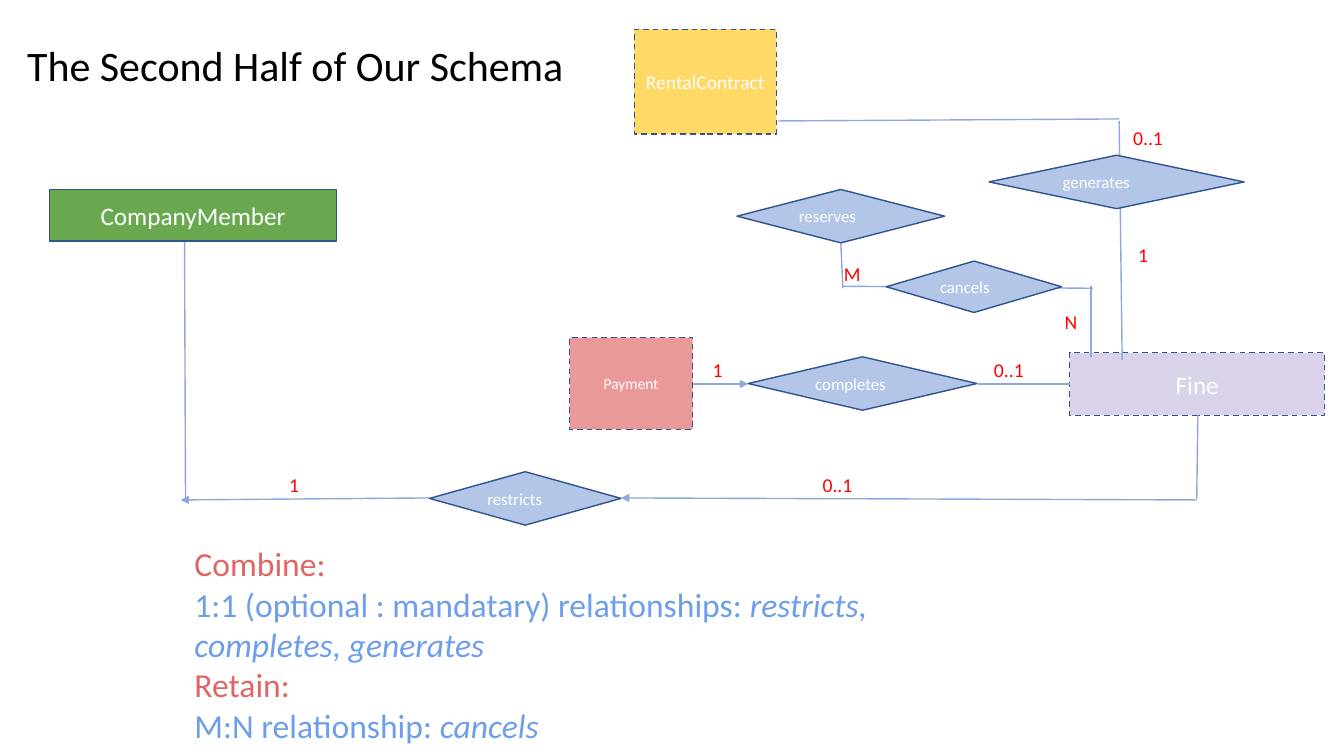
from dataclasses import dataclass

from lxml import etree
from pptx import Presentation
from pptx import util as u
from pptx.dml.color import RGBColor
from pptx.enum import dml, shapes, text
from pptx.oxml.ns import qn

PX = 9144  # 100 px to the inch


@dataclass(frozen=True)
class Theme:
    font: str = "Calibri"
    outline: str = "31538F"
    link: str = "8DA9DB"
    relationship: str = "B3C6E7"
    on_fill: str = "FFFFFF"
    cardinality: str = "FF0000"
    title: str = "000000"
    heading: str = "E06666"
    body: str = "6D9EEB"
    title_pt: int = 30
    body_pt: int = 24
    entity_pt: int = 18
    cardinality_pt: int = 14
    contract_pt: int = 14
    relationship_pt: int = 12
    payment_pt: int = 11


THEME = Theme()


@dataclass(frozen=True)
class Node:
    label: str
    box: tuple[int, int, int, int]
    fill: str = THEME.relationship
    size: int = THEME.relationship_pt
    dashed: bool = False
    entity: bool = False


@dataclass(frozen=True)
class Link:
    start: tuple[int, int]
    end: tuple[int, int]
    arrow: str = ""  # "headEnd" at the start, "tailEnd" at the end


@dataclass(frozen=True)
class Cardinality:
    label: str
    left: int
    top: int
    width: int = 58


@dataclass(frozen=True)
class Run:
    words: str
    color: str
    size: int
    italic: bool = False


FINE = Node("Fine", (1061, 350, 253, 62), "D9D2E9", THEME.entity_pt, True, True)
LINKS = [
    Link((1061, 381), (970, 381)),
    Link((772, 120), (1110, 118)),
    Link((1110, 120), (1113, 357)),
    Link((1082, 284), (1082, 354)),
    Link((836, 284), (1084, 286)),
    Link((1188, 412), (1187, 495)),
    Link((1187, 496), (616, 494), "tailEnd"),
    Link((183, 230), (184, 494), "headEnd"),
    Link((834, 242), (836, 286)),
    Link((426, 494), (179, 496), "tailEnd"),
    Link((742, 381), (687, 381), "headEnd"),
]
NODES = [
    Node("reserves", (731, 188, 206, 53)),
    Node("generates", (981, 154, 253, 53)),
    Node("cancels", (879, 259, 174, 51)),
    Node("restricts", (426, 468, 190, 53)),
    Node("completes", (742, 354, 227, 53)),
    Node("RentalContract", (629, 29, 141, 104), "FFD966", THEME.contract_pt, True, True),
    Node("Payment", (565, 335, 122, 91), "EA9999", THEME.payment_pt, True, True),
    Node("CompanyMember", (49, 188, 285, 51), "6AA84F", THEME.entity_pt, False, True),
]
CARDINALITIES = [
    Cardinality("1", 277, 459),
    Cardinality("0..1", 806, 459, 119),
    Cardinality("1", 697, 345),
    Cardinality("0..1", 976, 345, 85),
    Cardinality("0..1", 1114, 115, 92),
    Cardinality("1", 1119, 231),
    Cardinality("N", 1046, 297),
    Cardinality("M", 827, 250),
]
TITLE = [[Run("The Second Half of Our Schema", THEME.title, THEME.title_pt)]]
SUMMARY = [
    [Run("Combine:", THEME.heading, THEME.body_pt)],
    [
        Run("1:1 (optional : mandatary) relationships: ", THEME.body, THEME.body_pt),
        Run("restricts, completes, generates", THEME.body, THEME.body_pt, True),
    ],
    [Run("Retain:", THEME.heading, THEME.body_pt)],
    [
        Run("M:N relationship: ", THEME.body, THEME.body_pt),
        Run("cancels", THEME.body, THEME.body_pt, True),
    ],
]


def emu(*lengths: int) -> list[u.Emu]:
    return [u.Emu(length * PX) for length in lengths]


def apply(target, formats: dict) -> None:
    for name, value in formats.items():
        setattr(target, name, value)


def write(frame, paragraphs: list[list[Run]], align, anchor, inset_y: int) -> None:
    side, edge = emu(10, inset_y)
    apply(frame, {
        "word_wrap": True, "vertical_anchor": anchor,
        "margin_left": side, "margin_right": side,
        "margin_top": edge, "margin_bottom": edge,
    })
    for index, runs in enumerate(paragraphs):
        paragraph = frame.add_paragraph() if index else frame.paragraphs[0]
        paragraph.alignment = align
        for item in runs:
            run = paragraph.add_run()
            run.text = item.words
            apply(run.font, {"name": THEME.font, "size": u.Pt(item.size), "italic": item.italic})
            run.font.color.rgb = RGBColor.from_string(item.color)


def draw_node(slide, node: Node) -> None:
    kinds = shapes.MSO_SHAPE
    kind = kinds.RECTANGLE if node.entity else kinds.FLOWCHART_DECISION
    shape = slide.shapes.add_shape(kind, *emu(*node.box))
    shape.shadow.inherit = False
    shape.fill.solid()
    shape.fill.fore_color.rgb = RGBColor.from_string(node.fill)
    shape.line.color.rgb = RGBColor.from_string(THEME.outline)
    shape.line.width = u.Pt(1)
    if node.dashed:
        shape.line.dash_style = dml.MSO_LINE.DASH
    align = text.PP_ALIGN.CENTER if node.entity else text.PP_ALIGN.LEFT
    label = [[Run(node.label, THEME.on_fill, node.size)]]
    write(shape.text_frame, label, align, text.MSO_ANCHOR.MIDDLE, 5)


def draw_link(slide, link: Link) -> None:
    line = slide.shapes.add_connector(
        shapes.MSO_CONNECTOR.STRAIGHT, *emu(*link.start, *link.end))
    line.line.color.rgb = RGBColor.from_string(THEME.link)
    line.line.width = u.Pt(1)
    if link.arrow:
        etree.SubElement(line.line._get_or_add_ln(), qn(f"a:{link.arrow}"), type="triangle")
    etree.SubElement(line._element.spPr, qn("a:effectLst"))


def draw_text(slide, box: tuple[int, int, int, int], paragraphs: list[list[Run]]) -> None:
    frame = slide.shapes.add_textbox(*emu(*box)).text_frame
    write(frame, paragraphs, text.PP_ALIGN.LEFT, text.MSO_ANCHOR.TOP, 10)


def main() -> None:
    deck = Presentation()
    deck.slide_width, deck.slide_height = emu(1333, 750)
    slide = deck.slides.add_slide(deck.slide_layouts[6])

    draw_node(slide, FINE)
    for link in LINKS:
        draw_link(slide, link)
    for node in NODES:
        draw_node(slide, node)
    for mark in CARDINALITIES:
        label = [[Run(mark.label, THEME.cardinality, THEME.cardinality_pt)]]
        draw_text(slide, (mark.left, mark.top, mark.width, 36), label)
    draw_text(slide, (183, 529, 753, 202), SUMMARY)
    draw_text(slide, (17, 29, 571, 125), TITLE)

    deck.save("out.pptx")


if __name__ == "__main__":
    main()
